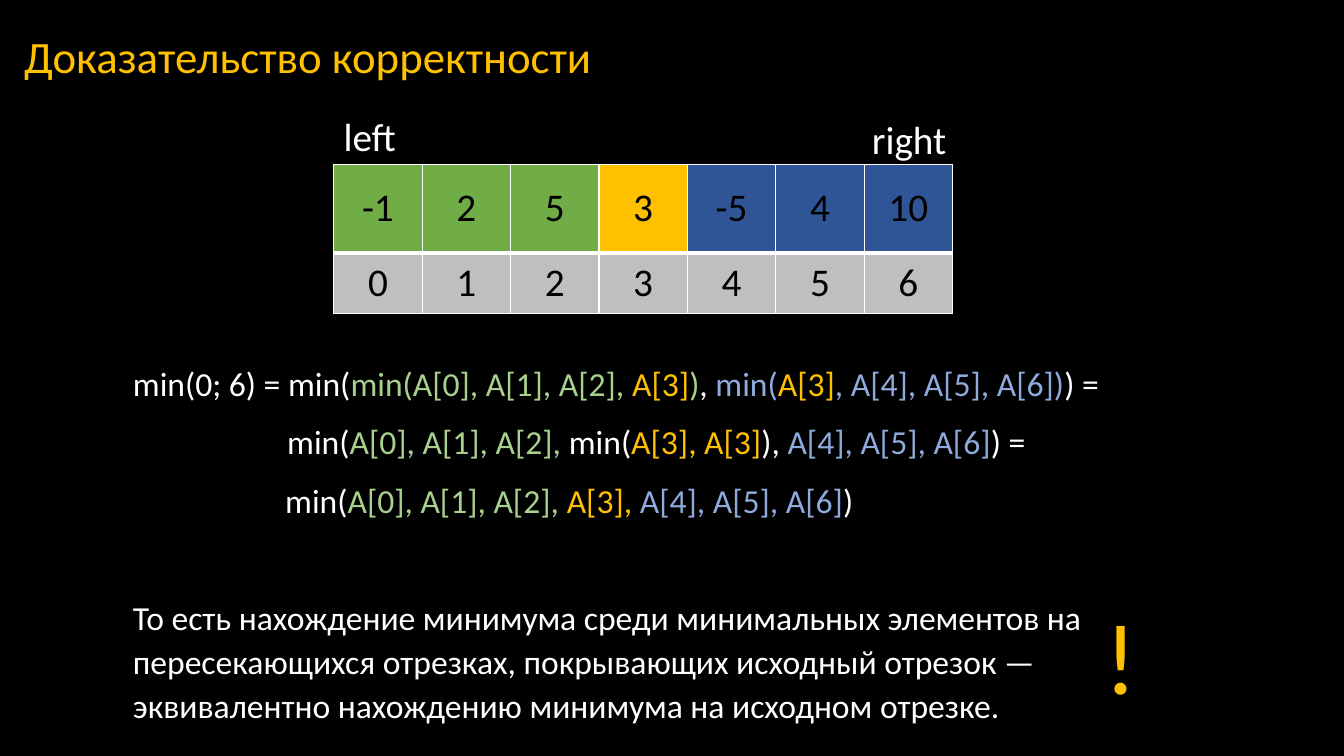
from lxml.etree import SubElement
from pptx import Presentation
from pptx.dml.color import RGBColor
from pptx.enum.text import MSO_ANCHOR as Anchor, PP_ALIGN as Align
from pptx.oxml.ns import qn
from pptx.util import Inches, Pt

WHITE, BLACK, GOLD = "FFFFFF", "000000", "FFC000"
GREEN, BLUE, GRAY = "70AD47", "2F5597", "BFBFBF"
LIME, SKY = "A9D18E", "8FAADC"
VALUES = ["-1", "2", "5", "3", "-5", "4", "10"]
FILLS = [GREEN] * 3 + [GOLD] + [BLUE] * 3
PROOF = [
    (0, 10, [("min(0; 6) = min(", WHITE), ("min(A[0], A[1], A[2], ", LIME),
             ("A[3]", GOLD), (")", LIME), (", ", WHITE), ("min(", SKY),
             ("A[3]", GOLD), (", A[4], A[5], A[6])", SKY), (") =", WHITE)]),
    (1.53, 10, [("min(", WHITE), ("A[0], A[1], A[2], ", LIME),
                ("min(", WHITE), ("A[3], A[3]", GOLD), ("), ", WHITE),
                ("A[4], A[5], A[6]", SKY), (") =", WHITE)]),
    (1.51, 10, [("min(", WHITE), ("A[0], A[1], A[2], ", LIME),
                ("A[3], ", GOLD), ("A[4], A[5], A[6]", SKY), (")", WHITE)]),
    (0, 52, [("То есть нахождение минимума среди минимальных элементов на "
              "пересекающихся отрезках, покрывающих исходный отрезок — "
              "эквивалентно нахождению минимума на исходном отрезке.", WHITE)]),
]


def paint(fill, color):
    """Give a fill one solid colour."""
    fill.solid()
    fill.fore_color.rgb = RGBColor.from_string(color)


def style(run, size, color):
    """Set the font, size and colour of a run."""
    run.font.name = "Calibri"
    run.font.size = Pt(size)
    paint(run.font.fill, color)


def add_box(slide, x, y, w, h, wrap=True):
    """Add a text box and return its frame."""
    box = slide.shapes.add_textbox(Inches(x), Inches(y), Inches(w), Inches(h))
    box.text_frame.word_wrap = wrap
    return box.text_frame


def add_label(slide, place, text, size, color, wrap=True):
    """Add a one-line text box and return its frame."""
    frame = add_box(slide, *place, wrap)
    frame.text = text
    style(frame.paragraphs[0].runs[0], size, color)
    return frame


def add_title(slide, text):
    """Add the slide heading."""
    frame = add_label(slide, (0.14, 0.13, 7.07, 0.91), text, 32, GOLD)
    frame.vertical_anchor = Anchor.MIDDLE
    frame.paragraphs[0].line_spacing = 0.9


def add_proof(slide, lines):
    """Add the coloured steps of the proof and its conclusion."""
    frame = add_box(slide, 1.22, 3.51, 10.31, 3.78)
    for i, (indent, gap, parts) in enumerate(lines):
        para = frame.add_paragraph() if i else frame.paragraphs[0]
        para.line_spacing = 1.1
        para.space_before = Pt(gap)
        para._p.get_or_add_pPr().set("marL", str(Inches(indent)))
        for text, color in parts:
            run = para.add_run()
            run.text = text
            style(run, 24, color)


def add_edges(cell, base):
    """Draw white cell borders, with the bottom one of a given width."""
    props = cell._tc.get_or_add_tcPr()
    for side, width in zip("LRTB", (1, 1, 1, base)):
        line = SubElement(props, qn(f"a:ln{side}"), w=str(Pt(width)))
        fill = SubElement(line, qn("a:solidFill"))
        SubElement(fill, qn("a:srgbClr"), val=WHITE)


def fill_cell(cell, text, color, base):
    """Write and colour one table cell."""
    add_edges(cell, base)
    paint(cell.fill, color)
    cell.vertical_anchor = Anchor.MIDDLE
    cell.text = text
    para = cell.text_frame.paragraphs[0]
    para.alignment = Align.CENTER
    style(para.runs[0], 28, BLACK)


def add_array(slide):
    """Add the array values above their indices."""
    count = len(VALUES)
    table = slide.shapes.add_table(2, count, Inches(3.31), Inches(1.63),
                                   Inches(6.14), Inches(1.48)).table
    table.first_row = table.horz_banding = False
    for row, height in zip(table.rows, (0.88, 0.6)):
        row.height = Inches(height)
    for i, (value, color) in enumerate(zip(VALUES, FILLS)):
        table.columns[i].width = Inches(6.14 / count)
        fill_cell(table.cell(0, i), value, color, 3)
        fill_cell(table.cell(1, i), str(i), GRAY, 1)


def main():
    """Build the slide and save it."""
    deck = Presentation()
    deck.slide_width, deck.slide_height = Inches(13.33), Inches(7.5)
    slide = deck.slides.add_slide(deck.slide_layouts[6])
    paint(slide.background.fill, BLACK)
    add_title(slide, "Доказательство корректности")
    add_proof(slide, PROOF)
    add_array(slide)
    add_label(slide, (3.31, 1.07, 0.73, 0.57), "left", 28, WHITE, False)
    add_label(slide, (8.55, 1.09, 1.04, 0.57), "right", 28, WHITE)
    add_label(slide, (10.86, 5.84, 0.38, 1.31), "!", 72, GOLD)
    deck.save("out.pptx")


if __name__ == "__main__":
    main()
